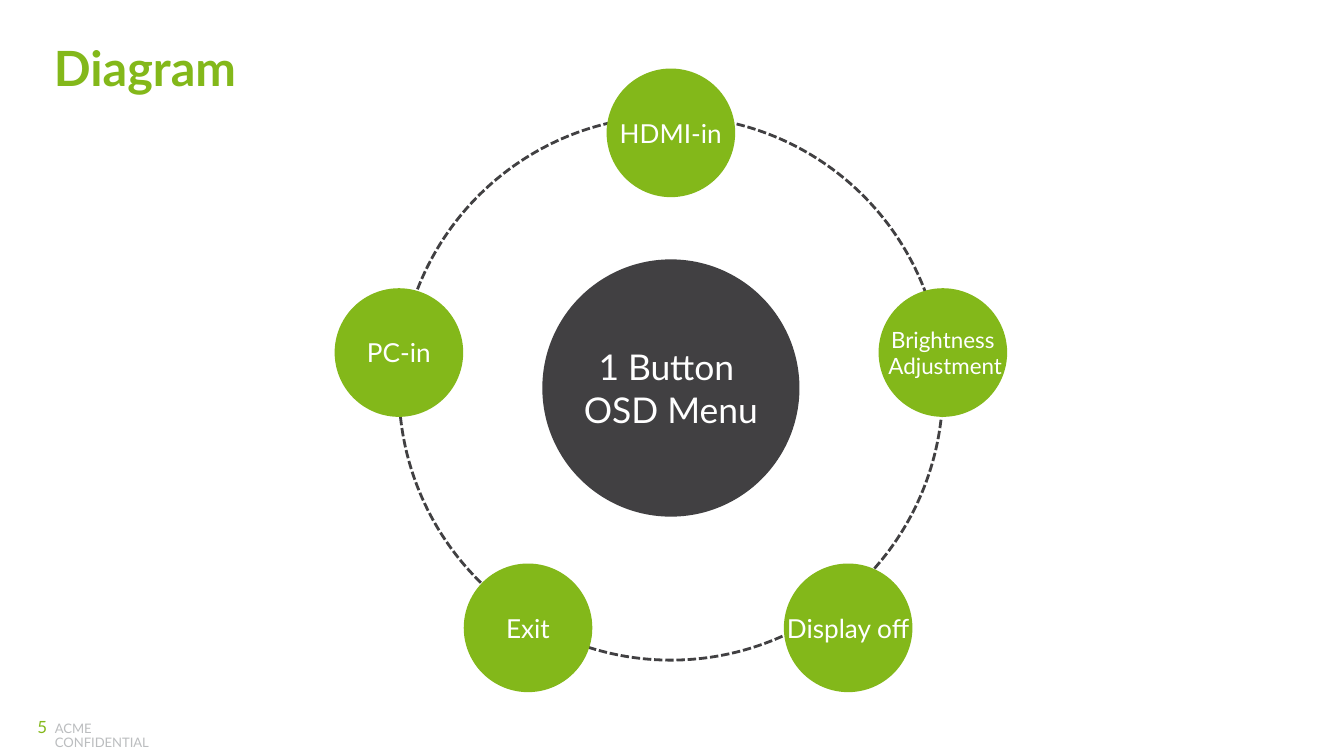
from pptx import Presentation
from pptx.dml.color import RGBColor
from pptx.enum.dml import MSO_LINE
from pptx.enum.shapes import MSO_SHAPE
from pptx.enum.text import MSO_ANCHOR, PP_ALIGN
from pptx.util import Cm, Pt

GREEN = RGBColor(0x83, 0xB8, 0x1A)
DARK = RGBColor(0x41, 0x40, 0x42)
GREY = RGBColor(0xBB, 0xBD, 0xBF)
WHITE = RGBColor(0xFF, 0xFF, 0xFF)
OVAL = MSO_SHAPE.OVAL
DASH = MSO_LINE.SQUARE_DOT
TOP, MIDDLE, BOTTOM = MSO_ANCHOR.TOP, MSO_ANCHOR.MIDDLE, MSO_ANCHOR.BOTTOM
LEFT, CENTER, RIGHT = PP_ALIGN.LEFT, PP_ALIGN.CENTER, PP_ALIGN.RIGHT

MID_X, MID_Y = 12.68, 7.33
RING, HUB, NODE = 10.28, 4.86, 2.43

# Offset from the middle, text lines, text size
NODES = [
    (5.14, -0.67, ["Brightness", " Adjustment"], 12),
    (3.35, 4.53, ["Display off"], 14),
    (-2.7, 4.53, ["Exit"], 14),
    (-5.14, -0.67, ["PC-in"], 14),
    (0, -4.82, ["HDMI-in"], 14),
]


class Deck:
    font = "Lato"

    def __init__(self, slide):
        self.slide = slide

    def fill_text(self, shape, lines, size, color, align, anchor, wrap,
                  bold=False, pitch=None, inset=0):
        frame = shape.text_frame
        frame.margin_left = frame.margin_top = frame.margin_bottom = 0
        frame.margin_right = Cm(inset)
        frame.word_wrap = wrap
        frame.vertical_anchor = anchor
        frame.text = "\n".join(lines)
        for para in frame.paragraphs:
            para.alignment = align
            para.line_spacing = pitch
            font = para.font
            font.name, font.size, font.bold = self.font, Pt(size), bold
            font.color.rgb = color

    def label(self, x, y, w, h, text, size, color, align=LEFT, anchor=TOP, **style):
        box = self.slide.shapes.add_textbox(Cm(x), Cm(y), Cm(w), Cm(h))
        self.fill_text(box, [text], size, color, align, anchor, True, **style)

    def circle(self, x, y, size):
        """Add a bare circle centred on x, y."""
        shape = self.slide.shapes.add_shape(
            OVAL, Cm(x - size / 2), Cm(y - size / 2), Cm(size), Cm(size))
        shape.shadow.inherit = False
        return shape

    def disc(self, x, y, size, fill, lines, pts):
        shape = self.circle(x, y, size)
        shape.fill.solid()
        shape.fill.fore_color.rgb = fill
        shape.line.fill.background()
        self.fill_text(shape, lines, pts, WHITE, CENTER, MIDDLE, False)

    def ring(self, x, y, size):
        shape = self.circle(x, y, size)
        shape.fill.background()
        shape.line.color.rgb = DARK
        shape.line.width = Pt(1.5)
        shape.line.dash_style = DASH


def main():
    prs = Presentation()
    prs.slide_width, prs.slide_height = Cm(25.4), Cm(14.28)
    deck = Deck(prs.slides.add_slide(prs.slide_layouts[6]))

    deck.label(1.04, 13.64, 2.26, 0.28, "ACME CONFIDENTIAL", 7, GREY, pitch=0.9)
    deck.label(1.02, 0.89, 23.39, 1.14, "Diagram", 26, GREEN, bold=True, pitch=0.85)
    deck.label(0, 13.54, 1.02, 0.38, "5", 9, GREEN, RIGHT, BOTTOM, inset=0.13)

    deck.disc(MID_X, MID_Y, HUB, DARK, ["1 Button ", "OSD Menu"], 19)
    deck.ring(MID_X, MID_Y, RING)
    for dx, dy, lines, pts in NODES:
        deck.disc(MID_X + dx, MID_Y + dy, NODE, GREEN, lines, pts)

    prs.save("out.pptx")


if __name__ == "__main__":
    main()
